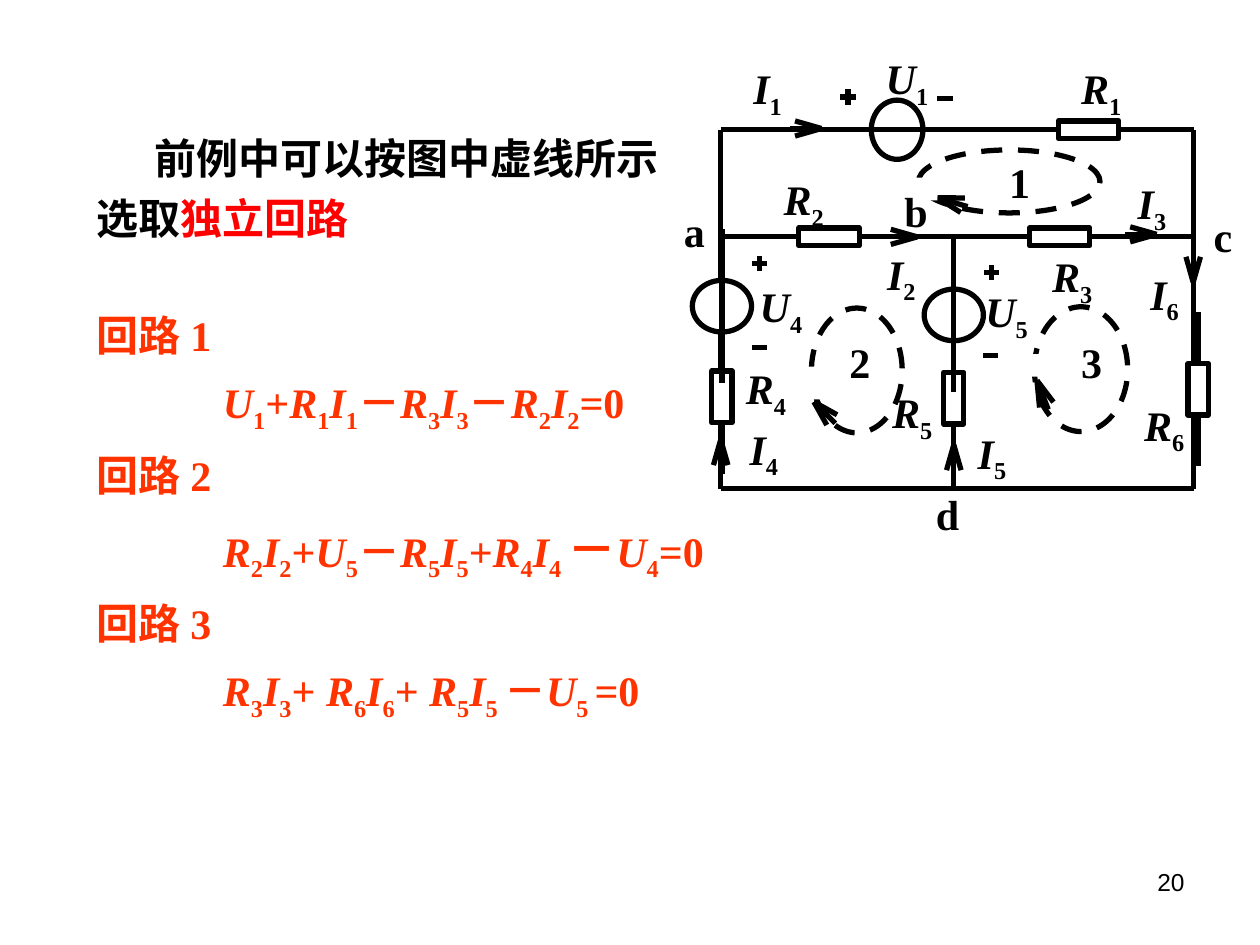
from itertools import groupby

from lxml import etree
from pptx import Presentation
from pptx.dml.color import RGBColor
from pptx.enum import dml, shapes, text
from pptx.oxml.ns import qn
from pptx.util import Inches, Pt

BLACK, WHITE, RED, ORANGE = "000000", "FFFFFF", "FF0000", "FF3300"
SERIF = "Times New Roman"
RECT, OVAL = shapes.MSO_SHAPE.RECTANGLE, shapes.MSO_SHAPE.OVAL


def color(hex_value):
    return RGBColor.from_string(hex_value)


def add_run(paragraph, words, ink=BLACK, **extra):
    run = paragraph.add_run()
    run.text = words
    style = {"name": SERIF, "size": Pt(24), "bold": True, **extra}
    for key, value in style.items():
        setattr(run.font, key, value)
    run.font.color.rgb = color(ink)
    return run


def add_math(paragraph, formula, ink=BLACK):
    """Capitals become italic symbols; digits right after them become subscripts."""
    kinds = []
    for i, char in enumerate(formula):
        before = kinds[-1] if kinds else "plain"
        if char in "UIR":
            kinds.append("symbol")
        elif char.isdigit() and before == "symbol" or char == " " and before == "sub":
            kinds.append("sub")
        else:
            kinds.append("plain")
    for kind, pairs in groupby(zip(kinds, formula), key=lambda pair: pair[0]):
        run = add_run(paragraph, "".join(char for _, char in pairs), ink,
                      italic=kind == "symbol")
        if kind == "sub":
            run._r.get_or_add_rPr().set("baseline", "-25000")


def add_box(parent, left, top, width, height, inset=True):
    frame = parent.add_textbox(*map(Inches, (left, top, width, height))).text_frame
    frame.word_wrap = True
    if not inset:
        for side in ("left", "top", "right", "bottom"):
            setattr(frame, f"margin_{side}", 0)
    return frame


def indent_first_line(paragraph, inches):
    paragraph._p.get_or_add_pPr().set("indent", str(Inches(inches)))


def add_intro(slide, box):
    paragraph = add_box(slide.shapes, *box).paragraphs[0]
    paragraph.line_spacing = 1.2
    indent_first_line(paragraph, 0.46)
    add_run(paragraph, "前例中可以按图中虚线所示选取")
    add_run(paragraph, "独立回路", RED)


def add_equations(slide, box):
    frame = add_box(slide.shapes, *box)
    equations = ["U1+R1I1－R3I3－R2I2=0",
                 "R2I2+U5－R5I5+R4I4 －U4=0",
                 "R3I3+ R6I6+ R5I5 －U5 =0"]
    for number, equation in enumerate(equations, 1):
        for line in (f"回路 {number}", equation):
            first = number == 1 and line != equation
            paragraph = frame.paragraphs[0] if first else frame.add_paragraph()
            paragraph.line_spacing = 1.2
            if not first:
                paragraph.space_before = Pt(3)
            if line == equation:
                indent_first_line(paragraph, 1)
            add_math(paragraph, line, ORANGE)
    second_equation = frame.paragraphs[3]
    wide_minus = [run for run in second_equation.runs if run.text == "－"][-1]
    wide_minus.font.size = Pt(28)


def add_circuit(slide, box):
    x0, y0 = box
    parts = slide.shapes.add_group_shape().shapes

    def wire(x1, y1, x2, y2):
        line = parts.add_connector(shapes.MSO_CONNECTOR.STRAIGHT, *map(
            Inches, (x0 + x1, y0 + y1, x0 + x2, y0 + y2)))
        line.line.width = Pt(3)
        line.line.color.rgb = color(BLACK)
        etree.SubElement(line._element.spPr, qn("a:effectLst"))

    def outline(kind, cx, cy, width, height, fill=WHITE, line=BLACK, dashed=False):
        shape = parts.add_shape(kind, *map(Inches, (
            x0 + cx - width / 2, y0 + cy - height / 2, width, height)))
        shape.shadow.inherit = False
        if fill:
            shape.fill.solid()
            shape.fill.fore_color.rgb = color(fill)
        else:
            shape.fill.background()
        if line:
            shape.line.color.rgb = color(line)
            shape.line.width = Pt(3)
        else:
            shape.line.fill.background()
        if dashed:
            shape.line.dash_style = dml.MSO_LINE.DASH

    def lead(cx, cy, across):
        dx, dy = (0.7, 0) if across else (0, 0.61)
        wire(cx - dx, cy - dy, cx + dx, cy + dy)

    def arrow(x, y, back_x, back_y):
        """Tip at x, y; the shaft and two barbs run back from it."""
        wire(x, y, x + back_x, y + back_y)
        for side in (-0.24, 0.24):
            wire(x, y, x + 0.84 * back_x - side * back_y,
                 y + 0.84 * back_y + side * back_x)

    def label(words, left, top, width=0.6, height=0.53):
        paragraph = add_box(parts, x0 + left, y0 + top, width, height, False).paragraphs[0]
        paragraph.alignment = text.PP_ALIGN.JUSTIFY
        add_math(paragraph, words)

    left, middle, right = 0.72, 2.57, 4.47
    top, shelf, bottom = 1.03, 1.88, 3.88
    for y in (top, shelf, bottom):
        wire(left, y, right + 0.01, y)
    for x, start in ((left, top), (right, top), (middle, shelf)):
        wire(x, start, x, bottom)

    for cx, cy, across in ((3.41, shelf, True), (1.58, shelf, True), (3.64, top, True),
                           (4.51, 3.09, False), (2.57, 3.16, False), (0.73, 3.15, False)):
        lead(cx, cy, across)
        outline(RECT, cx, cy, *((0.48, 0.14) if across else (0.16, 0.41)))

    for cx, cy, across in ((2.12, top, True), (2.57, 2.5, False), (0.73, 2.43, False)):
        outline(OVAL, cx, cy, *((0.41, 0.47) if across else (0.47, 0.41)))
        lead(cx, cy, across)

    for x, y, is_plus in ((1.73, 0.77, True), (2.5, 0.78, False), (2.87, 2.16, True),
                          (2.86, 2.82, False), (1.03, 2.09, True), (1.03, 2.76, False)):
        wire(x - 0.06, y, x + 0.06, y)
        if is_plus:
            wire(x, y - 0.06, x, y + 0.06)

    for current in ((4.47, 2.24, 0, -0.24), (left, 3.49, 0, 0.24), (middle, 3.53, 0, 0.24),
                    (1.52, 1.02, -0.25, 0), (2.28, 1.88, -0.25, 0), (4.18, 1.86, -0.25, 0)):
        arrow(*current)

    for name, x, y in (("U1", 2.03, 0.42), ("U5", 2.82, 2.27), ("U4", 1.03, 2.23),
                       ("R1", 3.58, 0.5), ("R2", 1.22, 1.38), ("R3", 3.35, 1.99),
                       ("R4", 0.92, 2.88), ("R5", 2.08, 3.07), ("R6", 4.08, 3.17),
                       ("I1", 0.98, 0.5), ("I2", 2.04, 1.97), ("I3", 4.03, 1.41),
                       ("I4", 0.95, 3.36), ("I5", 2.76, 3.39), ("I6", 4.13, 2.13)):
        label(name, x, y)

    loops = [  # ellipse, number position, arrow, gap in the dashes
        ((3.01, 1.44, 1.44, 0.5), (3.01, 1.24), (2.44, 1.57, 0.24, 0.07), (2.25, 1.5, 0.38, 0.18)),
        ((1.8, 2.94, 0.72, 0.99), (1.74, 2.67), (1.46, 3.19, 0.17, 0.17), (1.44, 3.04, 0.25, 0.26)),
        ((3.58, 2.93, 0.74, 0.99), (3.58, 2.67), (3.23, 3.02, 0.09, 0.23), (3.26, 2.9, 0.27, 0.18)),
    ]
    for number, (ellipse, spot, tip, gap) in enumerate(loops, 1):
        outline(OVAL, *ellipse, fill=None, dashed=True)
        label(str(number), *spot, width=0.45)
        arrow(*tip)
        outline(RECT, *gap, line=None)

    for node, x, y, width in (("a", 0.33, 1.58, 0.67), ("d", 2.33, 3.83, 0.5),
                              ("b", 2.08, 1.42, 0.5), ("c", 4.41, 1.62, 0.59)):
        paragraph = add_box(parts, x0 + x, y0 + y, width, 0.5).paragraphs[0]
        if node == "c":
            paragraph.alignment = text.PP_ALIGN.CENTER
        add_run(paragraph, node)


def add_page_number(slide, box):
    paragraph = add_box(slide.shapes, *box).paragraphs[0]
    paragraph.alignment = text.PP_ALIGN.RIGHT
    add_run(paragraph, "20", name="Arial", size=Pt(14), bold=False)


def main():
    deck = Presentation()
    deck.slide_width, deck.slide_height = Inches(10), Inches(7.5)
    slide = deck.slides.add_slide(deck.slide_layouts[6])
    add_intro(slide, (0.67, 0.92, 4.86, 1.03))
    add_equations(slide, (0.67, 2.33, 5.42, 3.3))
    add_circuit(slide, (5, 0))
    add_page_number(slide, (7.17, 6.83, 2.33, 0.52))
    deck.save("out.pptx")


if __name__ == "__main__":
    main()
